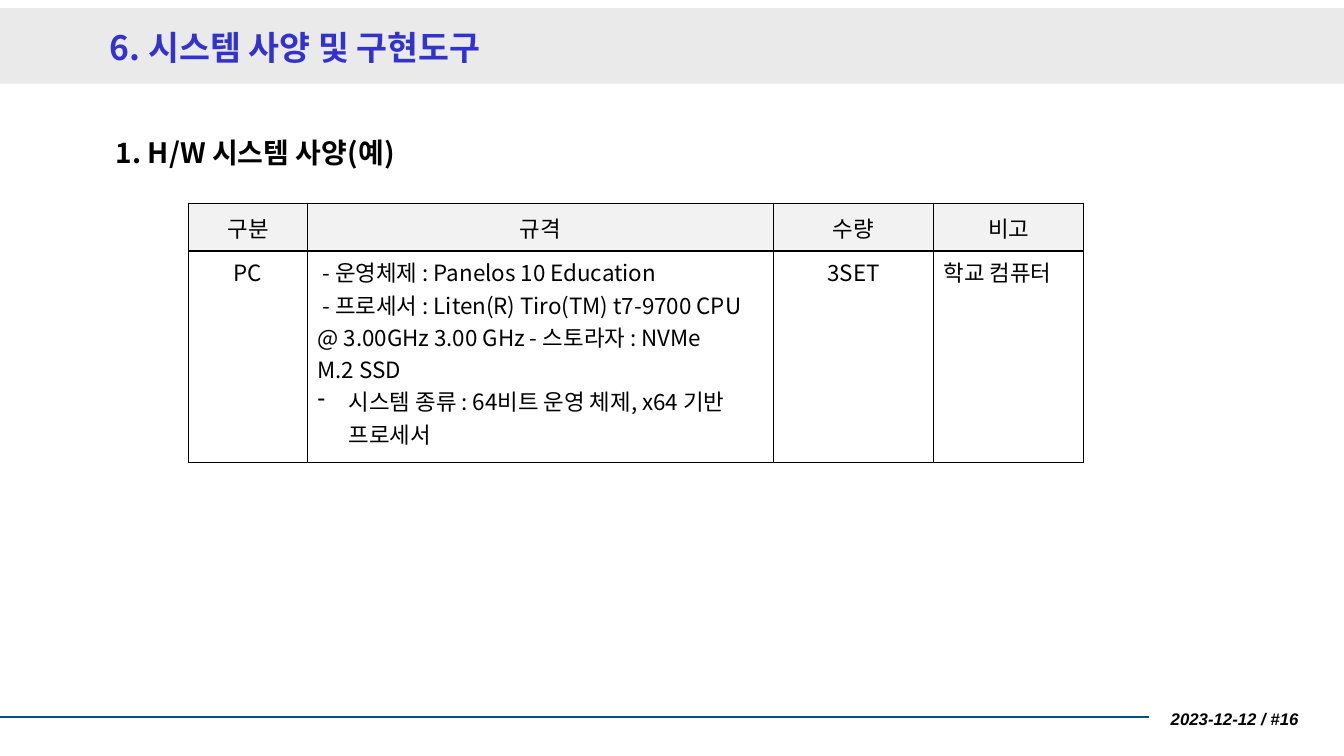
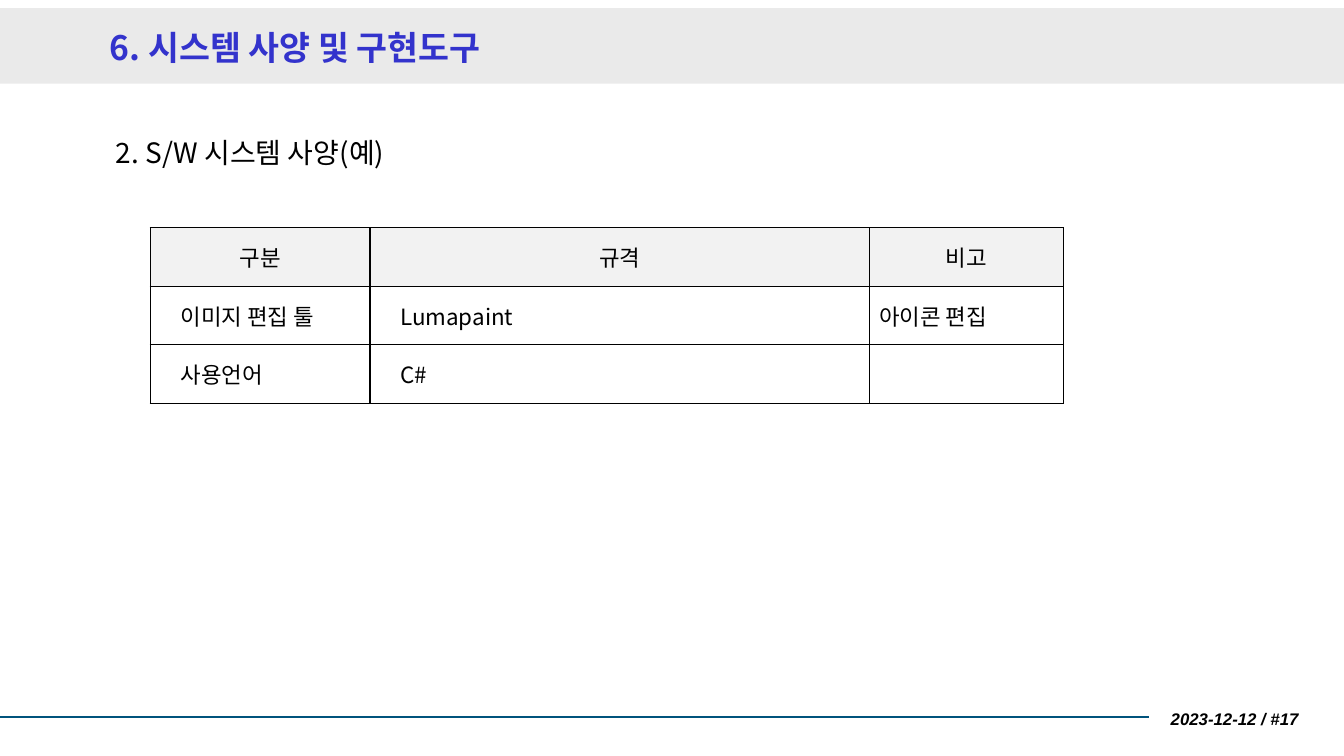
from lxml import etree
from pptx import Presentation
from pptx.dml.color import RGBColor
from pptx.enum.shapes import MSO_CONNECTOR, MSO_SHAPE
from pptx.enum.text import MSO_ANCHOR, MSO_AUTO_SIZE, PP_ALIGN
from pptx.oxml.ns import qn
from pptx.util import Inches, Pt

LEFT, CENTER, RIGHT = PP_ALIGN.LEFT, PP_ALIGN.CENTER, PP_ALIGN.RIGHT
TOP, MIDDLE = MSO_ANCHOR.TOP, MSO_ANCHOR.MIDDLE
RECTANGLE, STRAIGHT = MSO_SHAPE.RECTANGLE, MSO_CONNECTOR.STRAIGHT

WIDTH, HEIGHT = 13.33, 7.5
KOREAN, LATIN = "Noto Sans CJK KR", "Arial"
BLACK, TITLE_BLUE, RULE_BLUE = "000000", "3333CC", "00537C"
BAND_GRAY, HEADER_GRAY = "EAEAEA", "F2F2F2"

TITLE = "6. 시스템 사양 및 구현도구"
DATE = "2023-12-12"
FIRST_NUMBER = 16

PC_DETAILS = [
    {"lines": ["- 운영체제 : Panelos 10 Education"], "first": 0.05},
    {"lines": ["- 프로세서 : Liten(R) Tiro(TM) t7-9700 CPU @ 3.00GHz 3.00 GHz - 스토라자 : NVMe",
               "M.2 SSD"], "first": 0.05},
    {"lines": ["시스템 종류 : 64비트 운영 체제, x64 기반 프로세서"],
     "margin": 0.31, "first": -0.31, "bullet": "-"},
]


def centered(text):
    return [{"lines": [text], "align": CENTER}]


def plain(text, margin=0):
    return [{"lines": [text], "margin": margin}]


SLIDES = [
    {
        "heading": "1. H/W 시스템 사양(예)", "bold": True,
        "origin": (1.87, 2.02), "columns": [1.18, 4.62, 1.59, 1.49],
        "rows": [0.47, 2.1], "anchor": TOP,
        "header": ["구분", "규격", "수량", "비고"],
        "body": [[centered("PC"), PC_DETAILS, centered("3SET"), plain("학교 컴퓨터")]],
    },
    {
        "heading": "2. S/W 시스템 사양(예)", "bold": False,
        "origin": (1.49, 2.26), "columns": [2.18, 4.95, 1.93],
        "rows": [0.58] * 3, "anchor": MIDDLE,
        "header": ["구분", "규격", "비고"],
        "body": [
            [plain("이미지 편집 툴", 0.2), plain("Lumapaint", 0.2), plain("아이콘 편집")],
            [plain("사용언어", 0.2), plain("C#", 0.2), []],
        ],
    },
]


def color(value):
    return RGBColor.from_string(value)


def place(shape, left, top, width, height):
    shape.left, shape.top = Inches(left), Inches(top)
    shape.width, shape.height = Inches(width), Inches(height)


def add_span(para, text, size, ink=BLACK, font=KOREAN, bold=False, italic=False):
    span = para.add_run()
    span.text = text
    span.font.size, span.font.bold, span.font.italic = Pt(size), bold, italic
    span.font.color.rgb = color(ink)
    span.font.name = font
    latin = span.font._element.find(qn("a:latin"))
    east_asian = etree.Element(qn("a:ea"), typeface=font)
    latin.addnext(east_asian)


def format_para(para, align=LEFT, margin=0, first=0, bullet=None, after=0):
    para.alignment = align
    para.space_before, para.space_after = Pt(0), Pt(after)
    properties = para._p.get_or_add_pPr()
    properties.set("marL", str(Inches(margin)))
    properties.set("indent", str(Inches(first)))
    if bullet:
        etree.SubElement(properties, qn("a:buChar"), char=bullet)
    else:
        etree.SubElement(properties, qn("a:buNone"))


def prepare_layout(layout):
    for holder in list(layout.placeholders):
        if holder.placeholder_format.idx > 1:
            holder.element.getparent().remove(holder.element)
    title, body = layout.placeholders
    place(title, 0.99, 0.17, 11.9, 0.59)
    place(body, 0.99, 1.29, 9.85, 0.5)


def add_backdrop(slide, layout):
    band = slide.shapes.add_shape(RECTANGLE, 0, Inches(0.08), Inches(WIDTH), Inches(0.75))
    band.shadow.inherit = False
    band.fill.solid()
    band.fill.fore_color.rgb = color(BAND_GRAY)
    band.line.fill.background()
    rule = slide.shapes.add_connector(STRAIGHT, 0, Inches(7.11), Inches(11.4), Inches(7.11))
    rule.line.color.rgb = color(RULE_BLUE)
    rule.line.width = Pt(1.5)
    etree.SubElement(rule.element.spPr, qn("a:effectLst"))
    for index, shape in enumerate((band, rule)):
        layout.shapes.element.insert(2 + index, shape.element)


def fill_placeholder(holder, text, size, ink, bold, anchor, **style):
    frame = holder.text_frame
    frame.auto_size = MSO_AUTO_SIZE.NONE
    frame.vertical_anchor = anchor
    para = frame.paragraphs[0]
    format_para(para, **style)
    add_span(para, text, size, ink, bold=bold)


def add_footer(slide, number):
    box = slide.shapes.add_textbox(Inches(11.31), Inches(6.92), Inches(1.67), Inches(0.42))
    frame = box.text_frame
    frame.word_wrap = False
    frame.vertical_anchor = MIDDLE
    para = frame.paragraphs[0]
    para.alignment = RIGHT
    add_span(para, f"{DATE} / #{number}", 12, font=LATIN, bold=True, italic=True)


def fill_cell(cell, items, anchor, fill=None):
    cell.vertical_anchor = anchor
    if fill:
        cell.fill.solid()
        cell.fill.fore_color.rgb = color(fill)
    else:
        cell.fill.background()
    frame = cell.text_frame
    for index, item in enumerate(items):
        para = frame.add_paragraph() if index else frame.paragraphs[0]
        format_para(para, **{key: value for key, value in item.items() if key != "lines"})
        for position, line in enumerate(item["lines"]):
            if position:
                para.add_line_break()
            add_span(para, line, 16)


def add_borders(graphic):
    for properties in graphic.element.iter(qn("a:tcPr")):
        for index, side in enumerate(("lnL", "lnR", "lnT", "lnB")):
            line = etree.Element(qn(f"a:{side}"), w=str(Pt(1)))
            paint = etree.SubElement(line, qn("a:solidFill"))
            etree.SubElement(paint, qn("a:srgbClr"), val=BLACK)
            properties.insert(index, line)


def add_spec_table(slide, content):
    columns, rows = content["columns"], content["rows"]
    left, top = content["origin"]
    graphic = slide.shapes.add_table(len(rows), len(columns), Inches(left), Inches(top),
                                     Inches(sum(columns)), Inches(sum(rows)))
    table = graphic.table
    table.first_row = table.horz_banding = False
    for column, width in zip(table.columns, columns):
        column.width = Inches(width)
    for row, height in zip(table.rows, rows):
        row.height = Inches(height)
    for cell, text in zip(table.rows[0].cells, content["header"]):
        fill_cell(cell, centered(text), MIDDLE, HEADER_GRAY)
    for row, values in enumerate(content["body"], 1):
        for cell, items in zip(table.rows[row].cells, values):
            fill_cell(cell, items, content["anchor"])
    add_borders(graphic)


def main():
    deck = Presentation()
    deck.slide_width, deck.slide_height = Inches(WIDTH), Inches(HEIGHT)
    layout = deck.slide_layouts[1]
    prepare_layout(layout)
    for index, content in enumerate(SLIDES):
        page = deck.slides.add_slide(layout)
        if index == 0:
            add_backdrop(page, layout)
        title, body = page.placeholders
        fill_placeholder(title, TITLE, 24, TITLE_BLUE, True, MIDDLE)
        fill_placeholder(body, content["heading"], 20, BLACK, content["bold"], TOP,
                         margin=0.42, first=-0.36, after=6)
        add_spec_table(page, content)
        add_footer(page, FIRST_NUMBER + index)
    deck.save("out.pptx")


if __name__ == "__main__":
    main()
